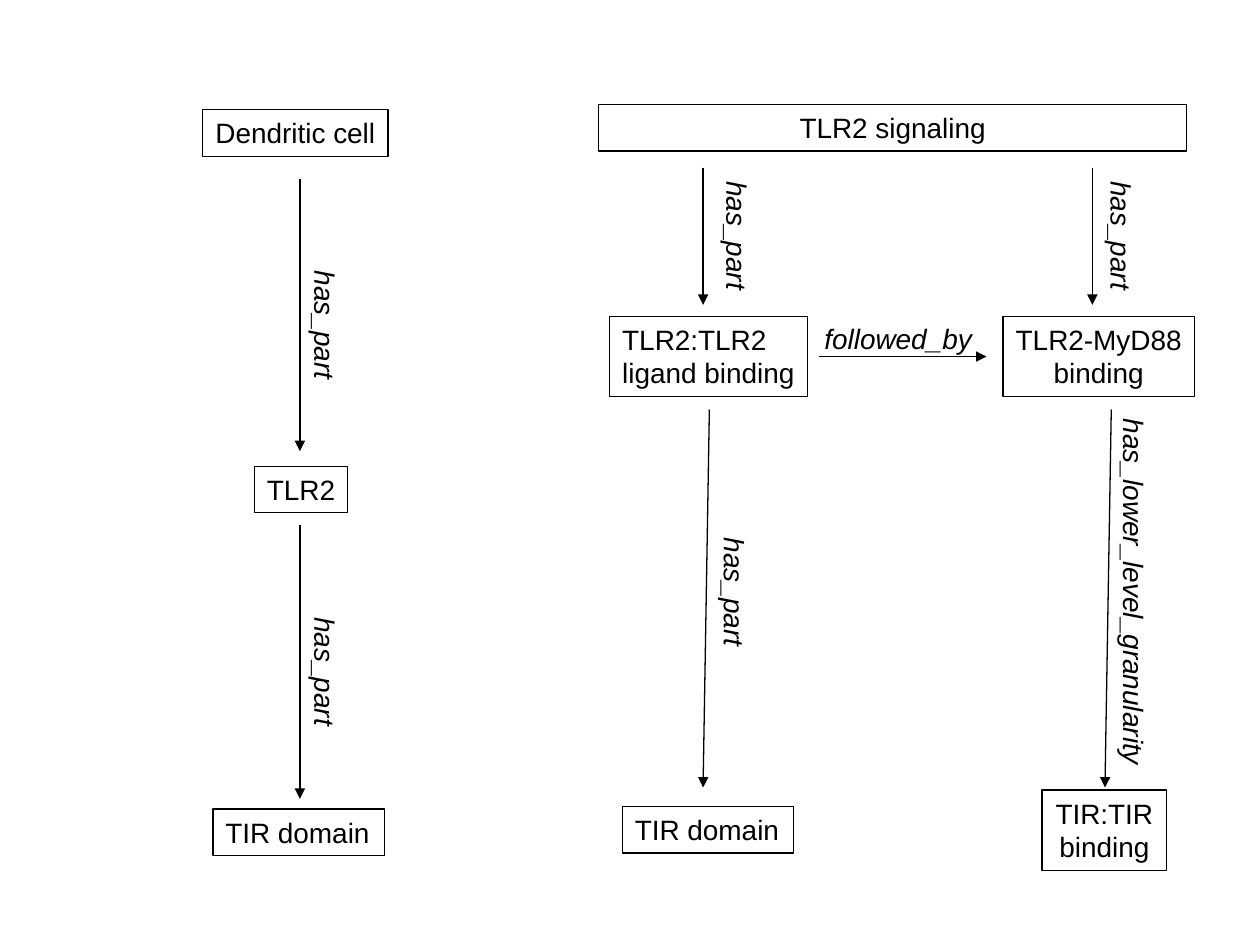
from lxml import etree
from pptx import Presentation
from pptx.dml.color import RGBColor
from pptx.enum.shapes import MSO_CONNECTOR, MSO_SHAPE
from pptx.enum.text import MSO_ANCHOR, MSO_AUTO_SIZE, PP_ALIGN
from pptx.oxml.ns import qn
from pptx.util import Inches, Pt

LEFT, CENTER = PP_ALIGN.LEFT, PP_ALIGN.CENTER
TOP = MSO_ANCHOR.TOP
FIT_SHAPE = MSO_AUTO_SIZE.SHAPE_TO_FIT_TEXT
RECTANGLE, STRAIGHT = MSO_SHAPE.RECTANGLE, MSO_CONNECTOR.STRAIGHT

THEME = {"font": "Arial", "size": Pt(16), "ink": RGBColor(0, 0, 0), "line": Pt(0.75)}
LINE_HEIGHT, PADDING = 0.27, 0.1

# Entities: lines of text, left, top, width, alignment
ENTITIES = [
    (["Dendritic cell"], 1.61, 0.87, 1.47, CENTER),
    (["TLR2"], 2.02, 3.7, 0.74, LEFT),
    (["TIR domain"], 1.69, 6.42, 1.36, LEFT),
    (["TLR2 signaling"], 4.75, 0.83, 4.67, CENTER),
    (["TLR2:TLR2", "ligand binding"], 4.84, 2.51, 1.57, LEFT),
    (["TLR2-MyD88", "binding"], 7.96, 2.51, 1.52, CENTER),
    (["TIR domain"], 4.94, 6.4, 1.36, LEFT),
    (["TIR:TIR", "binding"], 8.27, 6.27, 0.99, CENTER),
]

# Relations: name, arrow start, arrow end, label centre, rotation
RELATIONS = [
    ("has_part", (2.38, 1.42), (2.38, 3.58), (2.58, 2.58), 90),
    ("has_part", (2.38, 4.17), (2.38, 6.34), (2.58, 5.33), 90),
    ("has_part", (5.58, 1.33), (5.58, 2.42), (5.85, 1.87), 90),
    ("has_part", (8.67, 1.33), (8.67, 2.42), (8.9, 1.87), 90),
    ("has_part", (5.63, 3.25), (5.58, 6.25), (5.83, 4.7), 90),
    ("has_lower_level_granularity", (8.82, 3.25), (8.77, 6.25), (9, 4.7), 90),
    ("followed_by", (6.5, 2.83), (7.83, 2.83), (7.13, 2.69), 0),
]
LABEL_WIDTHS = {"has_part": 1.06, "has_lower_level_granularity": 2.95, "followed_by": 1.37}


def text_height(line_count):
    return PADDING + line_count * LINE_HEIGHT


def write_text(shape, lines, alignment, italic=False):
    frame = shape.text_frame
    frame.word_wrap = False
    frame.auto_size = FIT_SHAPE
    frame.vertical_anchor = TOP
    frame.text = "\n".join(lines)
    for paragraph in frame.paragraphs:
        paragraph.alignment = alignment
        paragraph.font.name = THEME["font"]
        paragraph.font.size = THEME["size"]
        paragraph.font.italic = italic
        paragraph.font.color.rgb = THEME["ink"]


def style_line(line):
    line.color.rgb = THEME["ink"]
    line.width = THEME["line"]


def add_entity(slide, lines, left, top, width, alignment):
    box = slide.shapes.add_shape(
        RECTANGLE, Inches(left), Inches(top), Inches(width), Inches(text_height(len(lines))))
    box.shadow.inherit = False
    box.fill.background()
    style_line(box.line)
    write_text(box, lines, alignment)


def add_arrow(slide, start, end):
    arrow = slide.shapes.add_connector(STRAIGHT, *map(Inches, start + end))
    style_line(arrow.line)
    properties = arrow.element.spPr
    etree.SubElement(properties.find(qn("a:ln")), qn("a:tailEnd"), type="triangle")
    etree.SubElement(properties, qn("a:effectLst"))


def add_label(slide, name, center, rotation):
    width, height = LABEL_WIDTHS[name], text_height(1)
    label = slide.shapes.add_textbox(
        Inches(center[0] - width / 2), Inches(center[1] - height / 2),
        Inches(width), Inches(height))
    label.rotation = rotation
    write_text(label, [name], LEFT, italic=True)


def main():
    presentation = Presentation()
    presentation.slide_width, presentation.slide_height = Inches(10), Inches(7.5)
    slide = presentation.slides.add_slide(presentation.slide_layouts[6])

    for entity in ENTITIES:
        add_entity(slide, *entity)
    for name, start, end, center, rotation in RELATIONS:
        add_arrow(slide, start, end)
        add_label(slide, name, center, rotation)

    presentation.save("out.pptx")


if __name__ == "__main__":
    main()
